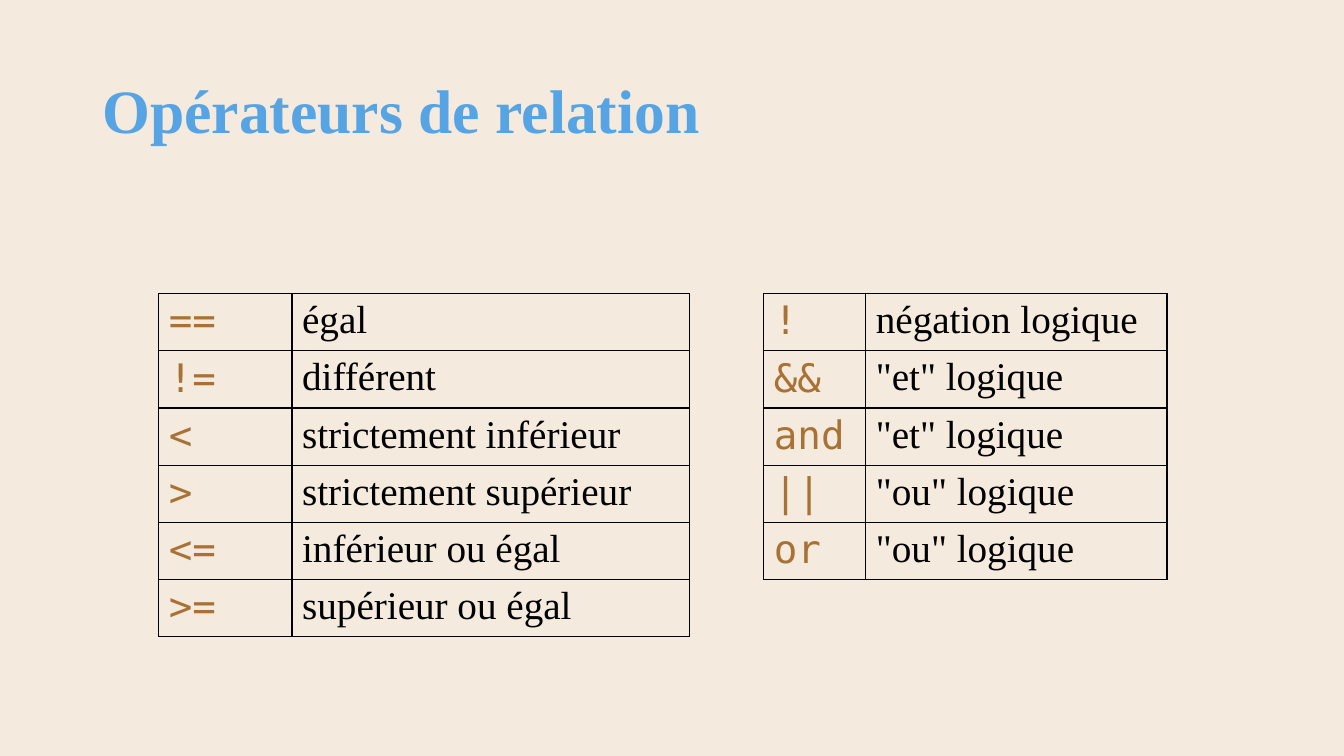
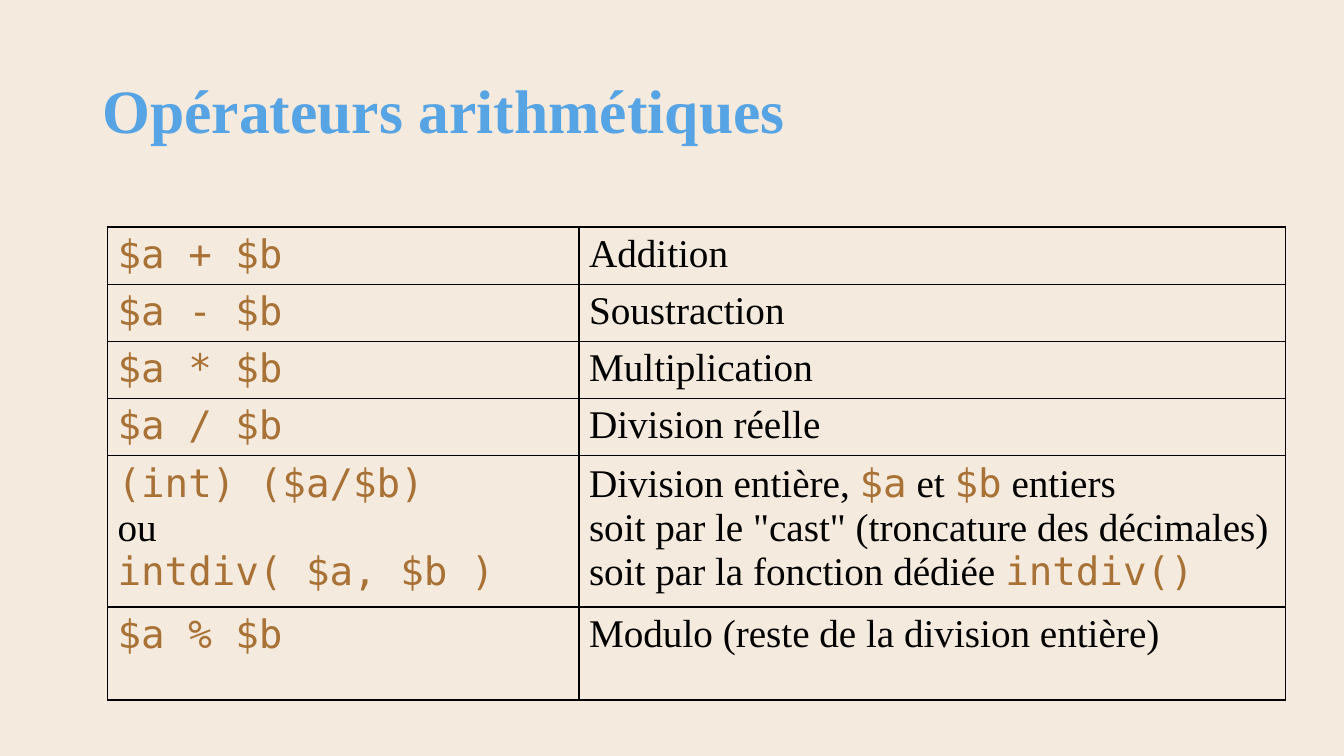
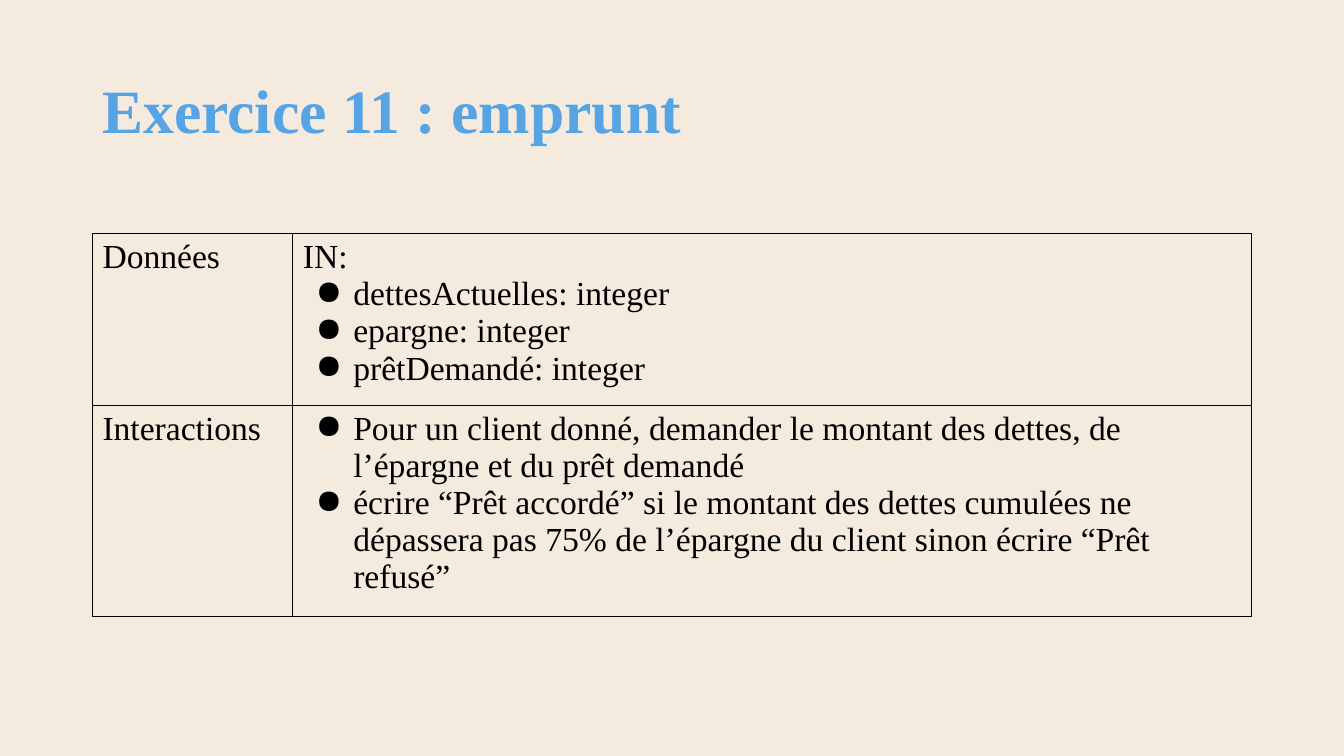
from dataclasses import dataclass

from lxml.etree import SubElement
from pptx import Presentation
from pptx.dml.color import RGBColor as RGB
from pptx.enum.text import MSO_ANCHOR as Anchor
from pptx.oxml.ns import qn
from pptx.util import Cm, Pt


@dataclass(frozen=True)
class Theme:
    background: RGB = RGB(0xF5, 0xEA, 0xDE)
    title: RGB = RGB(0x56, 0xA4, 0xE4)
    code: RGB = RGB(0xA8, 0x72, 0x36)
    text: RGB = RGB(0, 0, 0)
    serif: str = "Times New Roman"
    mono: str = "DejaVu Sans Mono"
    title_size: int = 44
    operator_size: int = 28
    exercise_size: int = 24
    border: int = Pt(1)


THEME = Theme()
BULLET = "● "

# Content: `backticks` mark code, each line of a cell is a paragraph.
# Positions, columns and row heights are in centimetres.
SLIDES = [
    ("Opérateurs de relation", [
        dict(at=(4, 7.4), columns=(3.36, 10.02), heights=[1.4] * 6,
             size=THEME.operator_size, rows=[
                 ("`==`", "égal"),
                 ("`!=`", "différent"),
                 ("`<`", "strictement inférieur"),
                 ("`>`", "strictement supérieur"),
                 ("`<=`", "inférieur ou égal"),
                 ("`>=`", "supérieur ou égal"),
             ]),
        dict(at=(19.25, 7.4), columns=(2.57, 7.59), heights=[1.4] * 5,
             size=THEME.operator_size, rows=[
                 ("`!`", "négation logique"),
                 ("`&&`", '"et" logique'),
                 ("`and`", '"et" logique'),
                 ("`||`", '"ou" logique'),
                 ("`or`", '"ou" logique'),
             ]),
    ]),
    ("Opérateurs arithmétiques", [
        dict(at=(2.71, 5.72), columns=(11.88, 17.81),
             heights=[1.4] * 4 + [3.65, 2.34],
             size=THEME.operator_size, rows=[
                 ("`$a + $b`", "Addition"),
                 ("`$a - $b`", "Soustraction"),
                 ("`$a * $b`", "Multiplication"),
                 ("`$a / $b`", "Division réelle"),
                 ("`(int) ($a/$b)`\nou\n`intdiv( $a, $b )`",
                  "Division entière, `$a` et `$b` entiers\n"
                  'soit par le "cast" (troncature des décimales)\n'
                  "soit par la fonction dédiée `intdiv()`"),
                 ("`$a % $b`", "Modulo (reste de la division entière)"),
             ]),
    ]),
    ("Exercice 11 : emprunt", [
        dict(at=(2.33, 5.89), columns=(5.05, 24.16), heights=[4, 4.94],
             size=THEME.exercise_size, rows=[
                 ("Données",
                  "IN:\n● dettesActuelles: integer\n● epargne: integer\n"
                  "● prêtDemandé: integer"),
                 ("Interactions",
                  "● Pour un client donné, demander le montant des dettes, "
                  "de l’épargne et du prêt demandé\n"
                  "● écrire “Prêt accordé” si le montant des dettes cumulées "
                  "ne dépassera pas 75% de l’épargne du client sinon écrire "
                  "“Prêt refusé”"),
             ]),
    ]),
]


def set_font(font, name, color):
    font.name = name
    font.color.rgb = color


def add_bullet(paragraph):
    properties = paragraph._p.get_or_add_pPr()
    properties.set("marL", str(Cm(1.27)))
    properties.set("indent", str(-Cm(0.95)))
    SubElement(properties, qn("a:buChar")).set("char", BULLET.strip())


def write_line(paragraph, line, size):
    if line.startswith(BULLET):
        add_bullet(paragraph)
        line = line[len(BULLET):]
    paragraph.font.size = Pt(size)
    # Odd pieces between backticks are code
    pieces = [(piece, (THEME.mono, THEME.code) if i % 2 else (THEME.serif, THEME.text))
              for i, piece in enumerate(line.split("`")) if piece]
    uniform = len(pieces) == 1
    for piece, style in pieces:
        run = paragraph.add_run()
        run.text = piece
        set_font(paragraph.font if uniform else run.font, *style)


def add_borders(cell):
    properties = cell._tc.get_or_add_tcPr()
    for side in ("lnL", "lnR", "lnT", "lnB"):
        line = SubElement(properties, qn(f"a:{side}"), w=str(THEME.border))
        fill = SubElement(line, qn("a:solidFill"))
        SubElement(fill, qn("a:srgbClr"), val=str(THEME.text))


def fill_cell(cell, content, size):
    add_borders(cell)
    cell.fill.background()
    frame = cell.text_frame
    for i, line in enumerate(content.split("\n")):
        write_line(frame.add_paragraph() if i else frame.paragraphs[0], line, size)


def add_grid(slide, at, columns, heights, size, rows):
    left, top = at
    grid = slide.shapes.add_table(len(rows), len(columns), Cm(left), Cm(top),
                                  Cm(sum(columns)), Cm(sum(heights))).table
    grid.first_row = grid.horz_banding = False
    for column, width in zip(grid.columns, columns):
        column.width = Cm(width)
    for row, height, contents in zip(grid.rows, heights, rows):
        row.height = Cm(height)
        for cell, content in zip(row.cells, contents):
            fill_cell(cell, content, size)


def add_title(slide, title):
    frame = slide.shapes.add_textbox(Cm(2.33), Cm(1.01), Cm(29.21), Cm(3.69)).text_frame
    frame.word_wrap = True
    frame.vertical_anchor = Anchor.MIDDLE
    heading = frame.paragraphs[0]
    heading.text = title
    heading.line_spacing = 0.9
    heading.font.size = Pt(THEME.title_size)
    heading.font.bold = True
    set_font(heading.font, THEME.serif, THEME.title)


def main():
    deck = Presentation()
    deck.slide_width, deck.slide_height = Cm(33.87), Cm(19.05)
    backdrop = deck.slide_master.background.fill
    backdrop.solid()
    backdrop.fore_color.rgb = THEME.background
    for title, grids in SLIDES:
        slide = deck.slides.add_slide(deck.slide_layouts[6])
        add_title(slide, title)
        for grid in grids:
            add_grid(slide, **grid)
    deck.save("out.pptx")


if __name__ == "__main__":
    main()
